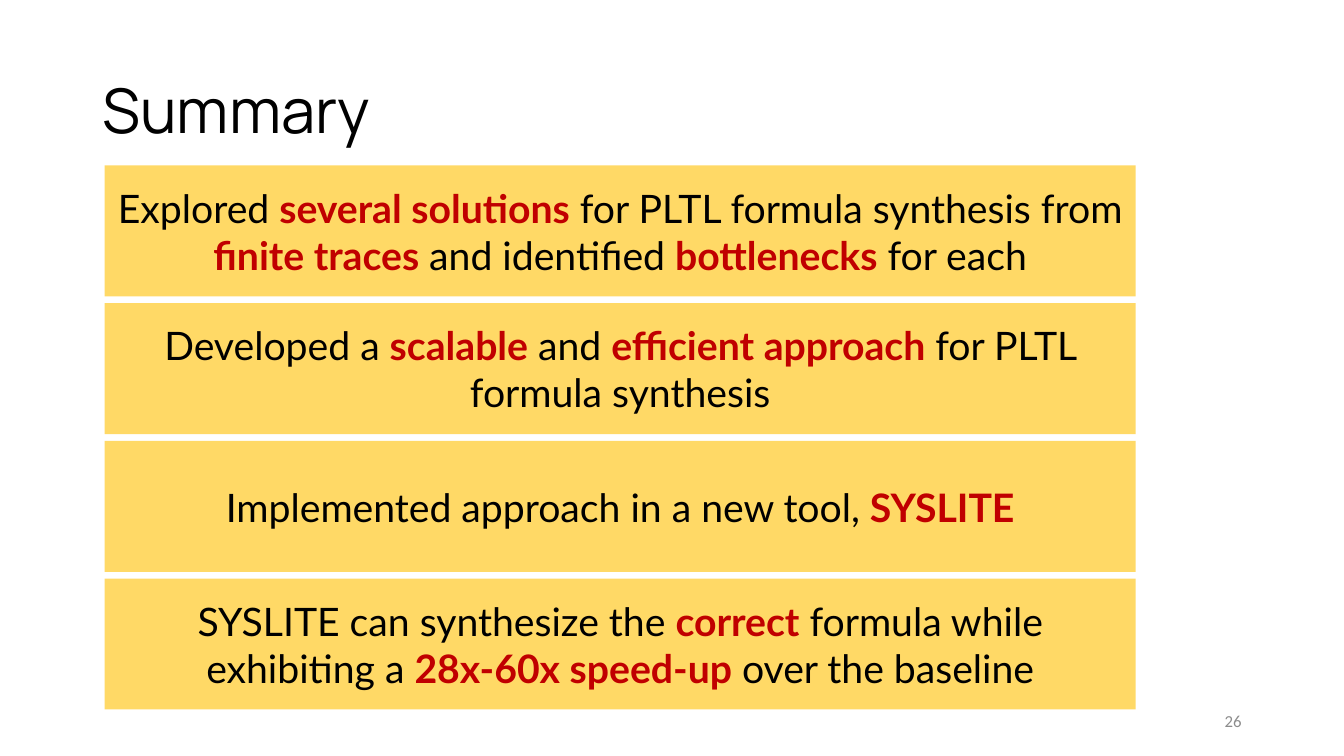
from pptx import Presentation
from pptx.dml.color import RGBColor
from pptx.enum.shapes import MSO_SHAPE
from pptx.enum.text import MSO_ANCHOR, PP_ALIGN
from pptx.util import Cm, Pt

BLACK = RGBColor(0x00, 0x00, 0x00)
RED = RGBColor(0xC0, 0x00, 0x00)
GOLD = RGBColor(0xFF, 0xD9, 0x66)
GREY = RGBColor(0x8C, 0x8C, 0x8C)

TITLE = "Summary"
PAGE_NUMBER = "26"
# Every second piece of a statement is highlighted.
STATEMENTS = [
    ["Explored ", "several solutions", " for PLTL formula synthesis from ",
     "finite traces", " and identified ", "bottlenecks", " for each"],
    ["Developed a ", "scalable", " and ", "efficient approach",
     " for PLTL formula synthesis"],
    ["Implemented approach in a new tool, ", "SYSLITE"],
    ["SYSLITE can synthesize the ", "correct",
     " formula while exhibiting a ", "28x-60x speed-up",
     " over the baseline"],
]

PLAIN = {"name": "Lato", "size": Pt(28), "bold": False}
STRONG = {**PLAIN, "bold": True}
TITLE_FONT = {"name": "Manrope", "size": Pt(44)}
NUMBER_FONT = {"name": "Calibri", "size": Pt(12)}

BAR_LEFT, BAR_TOP, BAR_WIDTH, BAR_HEIGHT = 2.64, 4.17, 25.98, 3.3
BAR_PITCH = 3.47


def add_span(para, text, font_format, colour):
    span = para.add_run()
    span.text = text
    for name, value in font_format.items():
        setattr(span.font, name, value)
    span.font.color.rgb = colour


def prepare_text(box, alignment):
    """Wrap and centre the text vertically; return the first paragraph."""
    frame = box.text_frame
    frame.word_wrap = True
    frame.vertical_anchor = MSO_ANCHOR.MIDDLE
    para = frame.paragraphs[0]
    para.alignment = alignment
    return para


def add_label(page, place, text, font_format, colour, alignment):
    box = page.shapes.add_textbox(*map(Cm, place))
    para = prepare_text(box, alignment)
    add_span(para, text, font_format, colour)
    return para


def add_bar(page, top, pieces):
    bar = page.shapes.add_shape(MSO_SHAPE.RECTANGLE, Cm(BAR_LEFT), Cm(top),
                                Cm(BAR_WIDTH), Cm(BAR_HEIGHT))
    bar.shadow.inherit = False
    bar.fill.solid()
    bar.fill.fore_color.rgb = GOLD
    bar.line.fill.background()
    para = prepare_text(bar, PP_ALIGN.CENTER)
    for index, piece in enumerate(pieces):
        highlighted = index % 2 == 1
        add_span(para, piece, STRONG if highlighted else PLAIN,
                 RED if highlighted else BLACK)


def main():
    deck = Presentation()
    deck.slide_width, deck.slide_height = Cm(33.87), Cm(19.05)
    page = deck.slides.add_slide(deck.slide_layouts[6])

    title = add_label(page, (2.33, 1.01, 29.21, 3.68), TITLE,
                      TITLE_FONT, BLACK, PP_ALIGN.LEFT)
    title.line_spacing = 0.9
    add_label(page, (23.92, 17.66, 7.62, 1.01), PAGE_NUMBER,
              NUMBER_FONT, GREY, PP_ALIGN.RIGHT)
    for row, pieces in enumerate(STATEMENTS):
        add_bar(page, BAR_TOP + row * BAR_PITCH, pieces)

    deck.save("out.pptx")


if __name__ == "__main__":
    main()
